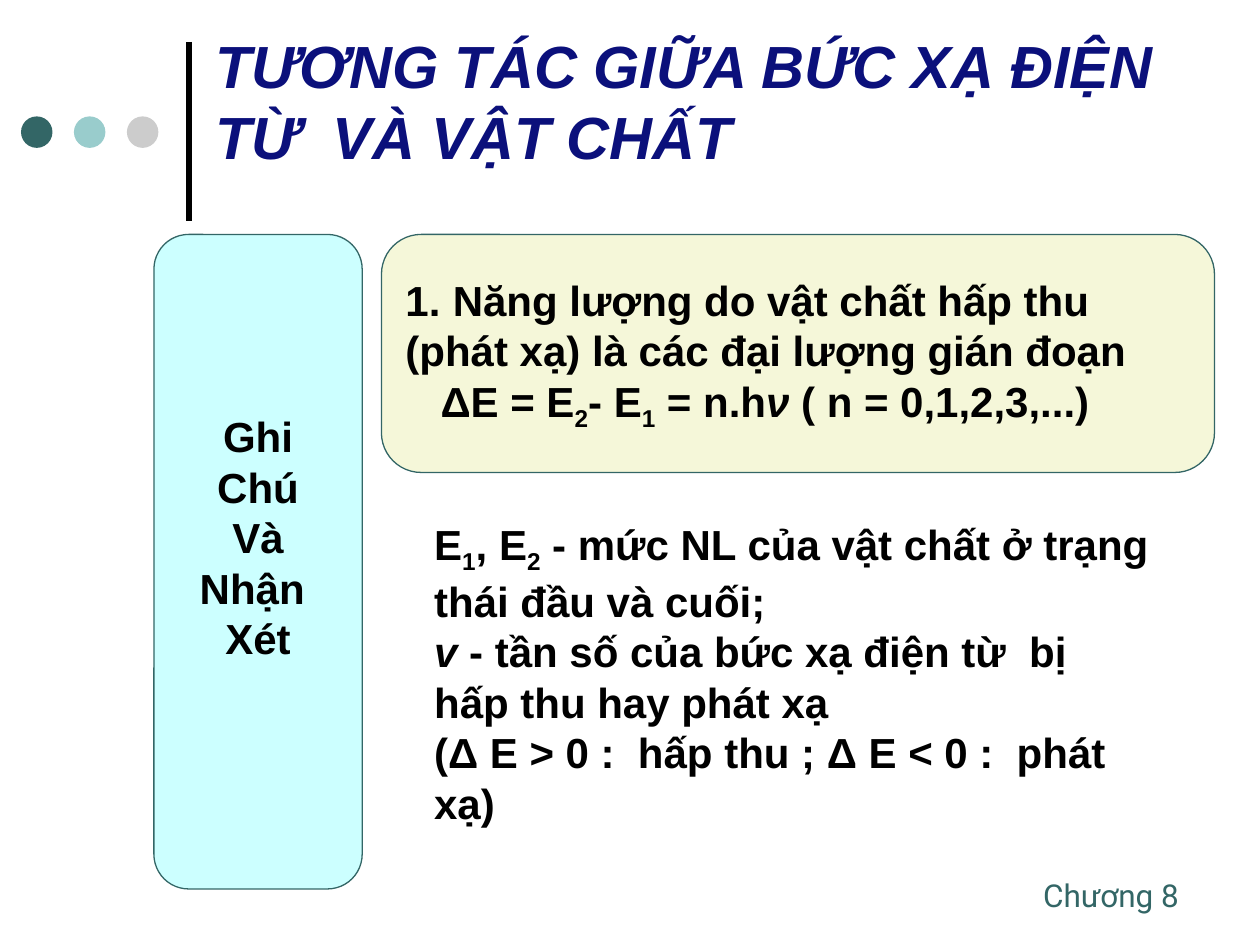
from pptx import Presentation
from pptx.dml.color import RGBColor
from pptx.enum.shapes import MSO_CONNECTOR, MSO_SHAPE
from pptx.enum.text import MSO_ANCHOR, PP_ALIGN
from pptx.oxml.ns import qn
from pptx.util import Pt

BLACK = RGBColor(0x00, 0x00, 0x00)
NAVY = RGBColor(0x0B, 0x10, 0x7B)
TEAL = RGBColor(0x33, 0x66, 0x66)
AQUA = RGBColor(0x99, 0xCC, 0xCC)
GREY = RGBColor(0xCC, 0xCC, 0xCC)
CYAN = RGBColor(0xCC, 0xFF, 0xFF)
CREAM = RGBColor(0xF5, 0xF7, 0xD9)
SUB = {"sub": True}
ITALIC = {"italic": True}


def add_run(p, text, size=24, font="Arial", color=BLACK, bold=True, italic=False, sub=False):
    """Append one formatted run to a paragraph."""
    r = p.add_run()
    r.text = text
    f = r.font
    f.size, f.name, f.bold, f.italic = Pt(size), font, bold, italic
    f.color.rgb = color
    if sub:
        f._element.set("baseline", "-25000")


def write(sp, paragraphs, anchor=MSO_ANCHOR.TOP, align=PP_ALIGN.LEFT, wrap=True, **fmt):
    """Fill a shape with paragraphs, each a list of (text, format) runs."""
    tf = sp.text_frame
    tf.word_wrap = wrap
    tf.vertical_anchor = anchor
    for i, runs in enumerate(paragraphs):
        p = tf.add_paragraph() if i else tf.paragraphs[0]
        p.alignment = align
        for text, own in runs:
            add_run(p, text, **{**fmt, **own})
    return tf


def indent(p, left, first=0, number=False):
    """Set a paragraph's indents and optional numbering."""
    pPr = p._p.get_or_add_pPr()
    pPr.set("marL", str(Pt(left)))
    pPr.set("indent", str(Pt(first)))
    if number:
        bullet = pPr.makeelement(qn("a:buAutoNum"), {"type": "arabicPeriod"})
        pPr.append(bullet)


def text_box(s, box, paragraphs, **fmt):
    """Add a text box."""
    return write(s.shapes.add_textbox(*map(Pt, box)), paragraphs, **fmt)


def filled(s, kind, box, fill, line=None):
    """Add a filled preset shape."""
    sp = s.shapes.add_shape(kind, *map(Pt, box))
    sp.shadow.inherit = False
    sp.fill.solid()
    sp.fill.fore_color.rgb = fill
    if line is None:
        sp.line.fill.background()
    else:
        sp.line.color.rgb = line
        sp.line.width = Pt(0.75)
    return sp


def header(s, x, y, w, h):
    """Draw the dots, the vertical rule and the title."""
    for i, color in enumerate((TEAL, AQUA, GREY)):
        filled(s, MSO_SHAPE.OVAL, (x + 30.25 * i, y + 42.5, 18, 18), color)
    rule_x = x + 96
    rule = s.shapes.add_connector(
        MSO_CONNECTOR.STRAIGHT, Pt(rule_x), Pt(y), Pt(rule_x), Pt(y + h))
    rule.line.color.rgb = BLACK
    rule.line.width = Pt(3)
    spPr = rule._element.spPr
    spPr.append(spPr.makeelement(qn("a:effectLst"), {}))
    left = x + 104
    text_box(s, (left, y - 3.5, x + w - left, 73.5),
             [[("TƯƠNG TÁC GIỮA BỨC XẠ ĐIỆN TỪ  VÀ VẬT CHẤT", {})]],
             anchor=MSO_ANCHOR.MIDDLE, size=34, color=NAVY, italic=True)


def side_panel(s, *box):
    """Draw the panel that names the section."""
    sp = filled(s, MSO_SHAPE.ROUNDED_RECTANGLE, box, CYAN, TEAL)
    words = ("Ghi", "Chú", "Và", "Nhận ", "Xét")
    tf = write(sp, [[(word, {})] for word in words],
               anchor=MSO_ANCHOR.MIDDLE, align=PP_ALIGN.CENTER, wrap=False)
    tf.margin_bottom = Pt(32)


def statement(s, *box):
    """Draw the numbered statement with its formula."""
    sp = filled(s, MSO_SHAPE.ROUNDED_RECTANGLE, box, CREAM, TEAL)
    tf = write(sp, [
        [("Năng lượng do vật chất hấp thu", {})],
        [("(phát xạ) là các đại lượng gián đoạn", {})],
        [("ΔE = E", {}), ("2", SUB), ("- E", {}), ("1", SUB), (" = n.h", {}),
         ("ν", ITALIC), (" ( n = 0,1,2,3,...)", {})],
    ], anchor=MSO_ANCHOR.MIDDLE)
    numbered, _, formula = tf.paragraphs
    indent(numbered, 27, -27, number=True)
    indent(formula, 20)


def explanation(s, *box):
    """Write the meaning of the symbols."""
    text_box(s, box, [
        [("E", {}), ("1", SUB), (", E", {}), ("2", SUB),
         (" - mức NL của vật chất ở trạng thái đầu và cuối;", {})],
        [("v ", ITALIC), ("- tần số của bức xạ điện từ  bị  hấp thu hay phát xạ", {})],
        [("(Δ E > 0 :  hấp thu ; Δ E < 0 :  phát xạ)", {})],
    ])


def footer(s, *box):
    """Write the chapter label."""
    text_box(s, box, [[("Chương 8", {})]], wrap=False,
             size=18, font="Roboto", color=TEAL, bold=False)


def main():
    """Build and save the slide."""
    prs = Presentation()
    prs.slide_width, prs.slide_height = Pt(720), Pt(540)
    s = prs.slides.add_slide(prs.slide_layouts[6])
    header(s, 12, 24, 708, 102)
    side_panel(s, 88, 134, 119, 374)
    statement(s, 218, 134, 476, 136)
    explanation(s, 241, 292.5, 430.5, 184)
    footer(s, 589, 497, 97, 29)
    prs.save("out.pptx")


if __name__ == "__main__":
    main()
